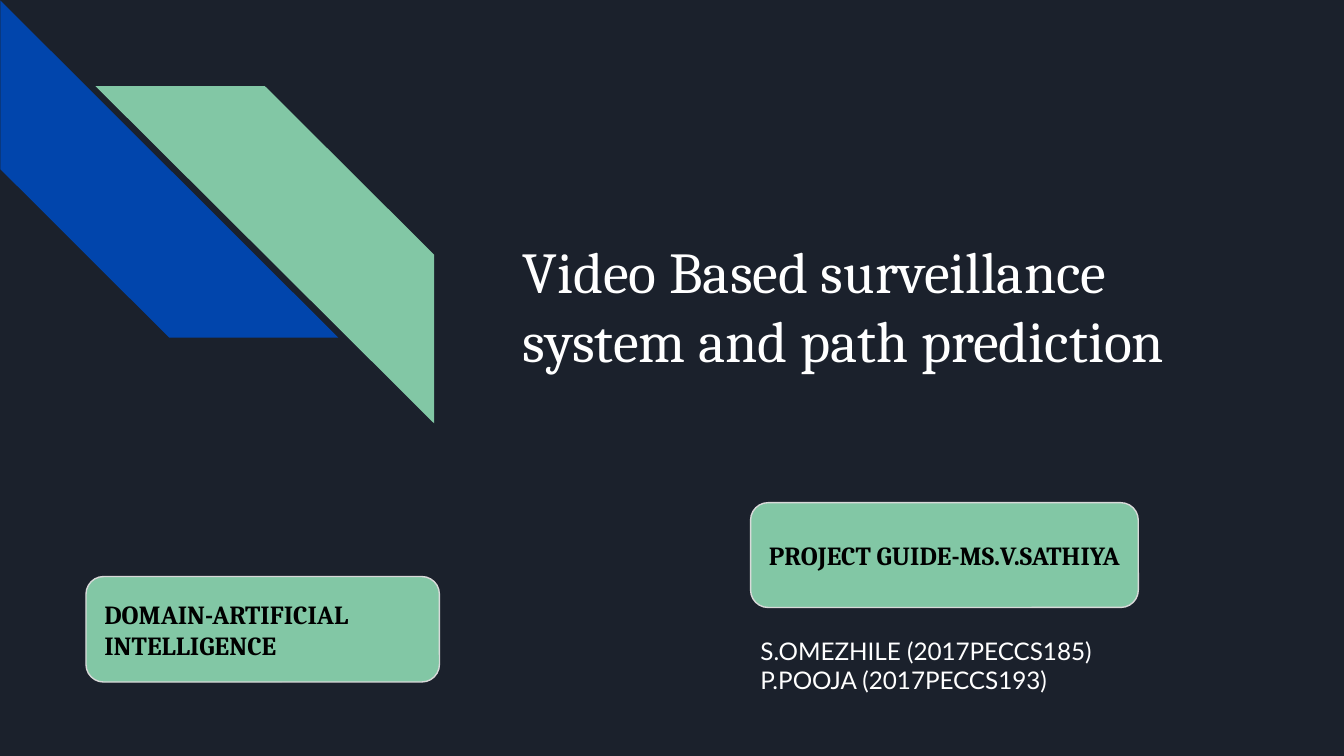
from pptx import Presentation
from pptx.dml.color import RGBColor
from pptx.enum.shapes import MSO_SHAPE
from pptx.enum.text import MSO_ANCHOR, MSO_AUTO_SIZE, PP_ALIGN
from pptx.util import Emu, Pt

STRIPE = MSO_SHAPE.DIAGONAL_STRIPE
ROUNDED = MSO_SHAPE.ROUNDED_RECTANGLE
ALTERNATE = MSO_SHAPE.FLOWCHART_ALTERNATE_PROCESS
LEFT, CENTER = PP_ALIGN.LEFT, PP_ALIGN.CENTER
TOP, MIDDLE = MSO_ANCHOR.TOP, MSO_ANCHOR.MIDDLE
NO_AUTOFIT = MSO_AUTO_SIZE.NONE

PX = 4572  # EMU per px, 200 px to the inch
INSET = 20
TITLE_ONLY = 5
SERIF, SANS = "Cambria", "Lato"
COLORS = {
    "night": "1B212C",
    "blue": "0145AC",
    "green": "82C7A5",
    "border": "D9D9D9",
    "white": "FFFFFF",
    "black": "000000",
}


def px(value):
    return Emu(value * PX)


def color(name):
    return RGBColor.from_string(COLORS[name])


def write(shape, text, font, size, ink, bold=False, align=LEFT, anchor=TOP):
    frame = shape.text_frame
    frame.text = text
    frame.word_wrap = True
    frame.auto_size = NO_AUTOFIT
    frame.vertical_anchor = anchor
    frame.margin_left = frame.margin_right = px(INSET)
    frame.margin_top = frame.margin_bottom = px(INSET)
    for paragraph in frame.paragraphs:
        paragraph.alignment = align
        for run in paragraph.runs:
            run.font.name = font
            run.font.size = Pt(size)
            run.font.bold = bold
            run.font.color.rgb = color(ink)


def add_filled(slide, kind, box, fill):
    shape = slide.shapes.add_shape(kind, *map(px, box))
    shape.shadow.inherit = False
    shape.fill.solid()
    shape.fill.fore_color.rgb = color(fill)
    return shape


def add_stripe(slide, box, fill, rotation):
    stripe = add_filled(slide, STRIPE, box, fill)
    stripe.rotation = rotation
    stripe.line.fill.background()


def add_label(slide, kind, box, text, align):
    label = add_filled(slide, kind, box, "green")
    label.line.color.rgb = color("border")
    label.line.width = Pt(0.75)
    write(label, text, SERIF, 14, "black", True, align, MIDDLE)


def place_title(slide, box, text):
    title = slide.shapes.title
    title.left, title.top, title.width, title.height = map(px, box)
    write(title, text, SERIF, 31, "white")


def add_authors(slide, box, authors):
    credits = slide.shapes.add_textbox(*map(px, box))
    write(credits, "\n".join(authors), SANS, 13, "white")


def main():
    deck = Presentation()
    deck.slide_width, deck.slide_height = px(2000), px(1125)
    slide = deck.slides.add_slide(deck.slide_layouts[TITLE_ONLY])
    slide.background.fill.solid()
    slide.background.fill.fore_color.rgb = color("night")

    # Corner decoration
    add_stripe(slide, (1, 0, 502, 503), "blue", 270)
    add_stripe(slide, (143, 127, 502, 504), "green", 90)

    # Title and authors
    place_title(slide, (758, 330, 1098, 346),
                "Video Based surveillance system and path prediction")
    add_authors(slide, (1112, 927, 760, 126),
                ["S.OMEZHILE (2017PECCS185)", "P.POOJA (2017PECCS193)"])

    # Domain and guide labels
    add_label(slide, ALTERNATE, (128, 858, 526, 157),
              "DOMAIN-ARTIFICIAL INTELLIGENCE", LEFT)
    add_label(slide, ROUNDED, (1117, 748, 577, 156),
              "PROJECT GUIDE-MS.V.SATHIYA", CENTER)

    deck.save("out.pptx")


if __name__ == "__main__":
    main()
